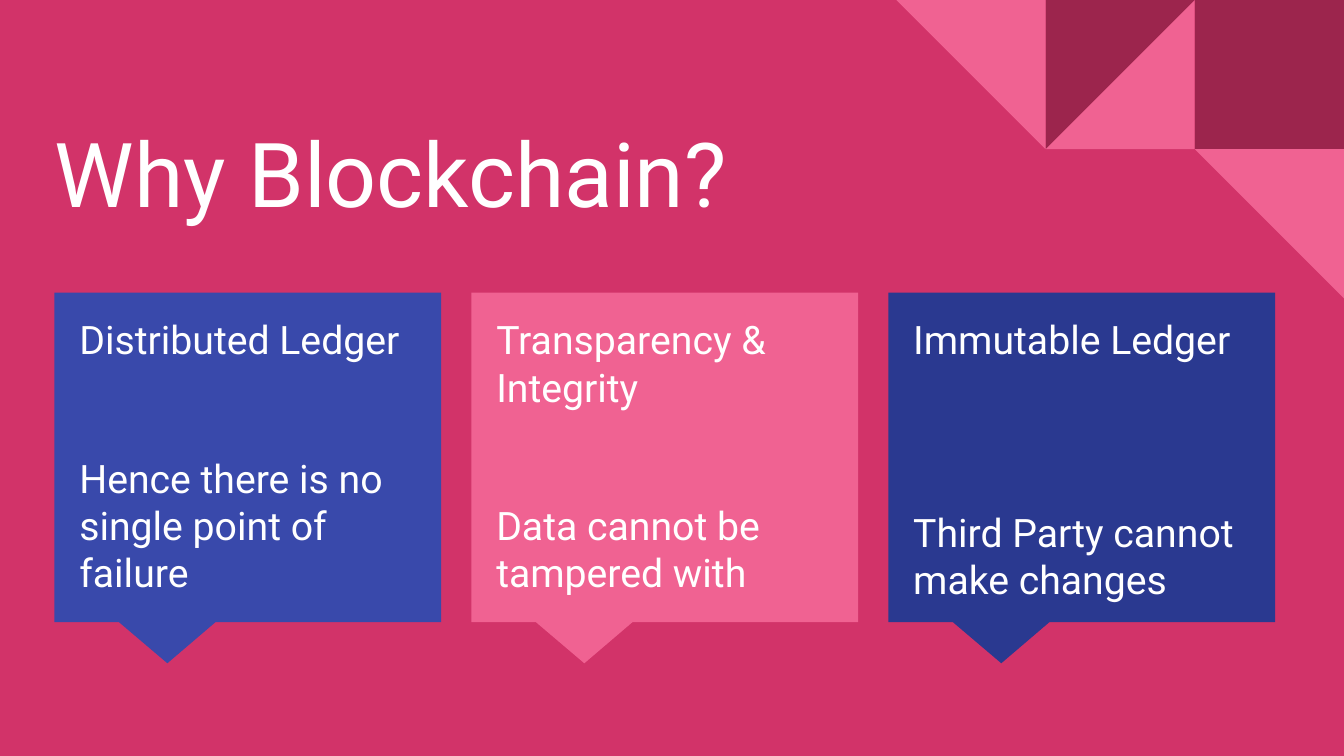
"""Build the "Why Blockchain?" slide with three callout cards."""
from dataclasses import dataclass

from pptx import Presentation
from pptx.dml.color import RGBColor
from pptx.enum.shapes import MSO_SHAPE
from pptx.enum.text import MSO_ANCHOR, PP_ALIGN
from pptx.shapes.autoshape import Shape
from pptx.slide import Slide
from pptx.util import Cm, Pt


@dataclass(frozen=True)
class Theme:
    background: str = "D23369"
    pink: str = "F06292"
    wine: str = "9C254D"
    blue: str = "3949AB"
    navy: str = "2A3990"
    white: str = "FFFFFF"
    font: str = "Roboto"
    title_size: int = 48
    card_size: int = 21


@dataclass(frozen=True)
class Tile:
    column: int
    row: int
    color: str
    kind: MSO_SHAPE = MSO_SHAPE.RIGHT_TRIANGLE
    rotation: int = 0


@dataclass(frozen=True)
class Card:
    heading: str
    detail: str
    color: str
    gap: int = 49


THEME = Theme()
PAGE_WIDTH, PAGE_HEIGHT = 25.4, 14.29
TILE_SIZE, TILE_COLUMNS = 2.82, 3
CARD_LEFT, CARD_TOP, CARD_WIDTH, CARD_HEIGHT = 1.03, 5.53, 7.31, 6.23
CARD_PITCH = 7.88

TILES = [
    Tile(2, 0, THEME.wine, MSO_SHAPE.RECTANGLE),
    Tile(1, 0, THEME.pink, rotation=270),
    Tile(1, 0, THEME.wine, rotation=90),
    Tile(0, 0, THEME.pink, rotation=180),
    Tile(2, 1, THEME.pink, rotation=180),
]
CARDS = [
    Card("Distributed Ledger", "Hence there is no single point of failure", THEME.blue),
    Card("Transparency & Integrity", "Data cannot be tampered with", THEME.pink),
    Card("Immutable Ledger", "Third Party cannot make changes", THEME.navy, gap=78),
]


def add_filled_shape(page: Slide, kind: MSO_SHAPE, left: float, top: float,
                     width: float, height: float, color: str) -> Shape:
    """Add a borderless shape, measured in centimetres."""
    shape = page.shapes.add_shape(kind, Cm(left), Cm(top), Cm(width), Cm(height))
    shape.shadow.inherit = False
    shape.fill.solid()
    shape.fill.fore_color.rgb = RGBColor.from_string(color)
    shape.line.fill.background()
    return shape


def add_text(page: Slide, paragraphs: list[str], *, left: float, top: float,
             width: float, height: float, size: int, gap: int = 0) -> Shape:
    """Add a text box whose paragraphs are separated by a gap in points."""
    box = page.shapes.add_textbox(Cm(left), Cm(top), Cm(width), Cm(height))
    frame = box.text_frame
    frame.word_wrap = True
    frame.vertical_anchor = MSO_ANCHOR.TOP
    frame.margin_left = frame.margin_right = Cm(0.25)
    frame.margin_top = frame.margin_bottom = Cm(0.25)
    for index, text in enumerate(paragraphs):
        para = frame.add_paragraph() if index else frame.paragraphs[0]
        para.alignment = PP_ALIGN.LEFT
        para.space_before = Pt(gap if index else 0)
        span = para.add_run()
        span.text = text
        span.font.name = THEME.font
        span.font.size = Pt(size)
        span.font.color.rgb = RGBColor.from_string(THEME.white)
    return box


def draw_tile(page: Slide, tile: Tile) -> None:
    """Draw one tile of the pattern in the top right corner."""
    left = PAGE_WIDTH - (TILE_COLUMNS - tile.column) * TILE_SIZE
    shape = add_filled_shape(page, tile.kind, left, tile.row * TILE_SIZE,
                             TILE_SIZE, TILE_SIZE, tile.color)
    shape.rotation = tile.rotation


def draw_card(page: Slide, card: Card, index: int) -> None:
    """Draw one callout with its heading and detail."""
    left = CARD_LEFT + index * CARD_PITCH
    callout = add_filled_shape(page, MSO_SHAPE.RECTANGULAR_CALLOUT, left, CARD_TOP,
                               CARD_WIDTH, CARD_HEIGHT, card.color)
    callout.adjustments[0] = -0.208
    callout.adjustments[1] = 0.625
    add_text(page, [card.heading, card.detail], left=left + 0.22, top=CARD_TOP + 0.19,
             width=6.88, height=5.56, size=THEME.card_size, gap=card.gap)


def main() -> None:
    """Create and save the deck."""
    deck = Presentation()
    deck.slide_width, deck.slide_height = Cm(PAGE_WIDTH), Cm(PAGE_HEIGHT)
    page = deck.slides.add_slide(deck.slide_layouts[6])
    page.background.fill.solid()
    page.background.fill.fore_color.rgb = RGBColor.from_string(THEME.background)
    for tile in TILES:
        draw_tile(page, tile)
    add_text(page, ["Why Blockchain?"], left=0.79, top=1.98, width=23.95, height=2.84,
             size=THEME.title_size)
    for index, card in enumerate(CARDS):
        draw_card(page, card, index)
    deck.save("out.pptx")


main()
